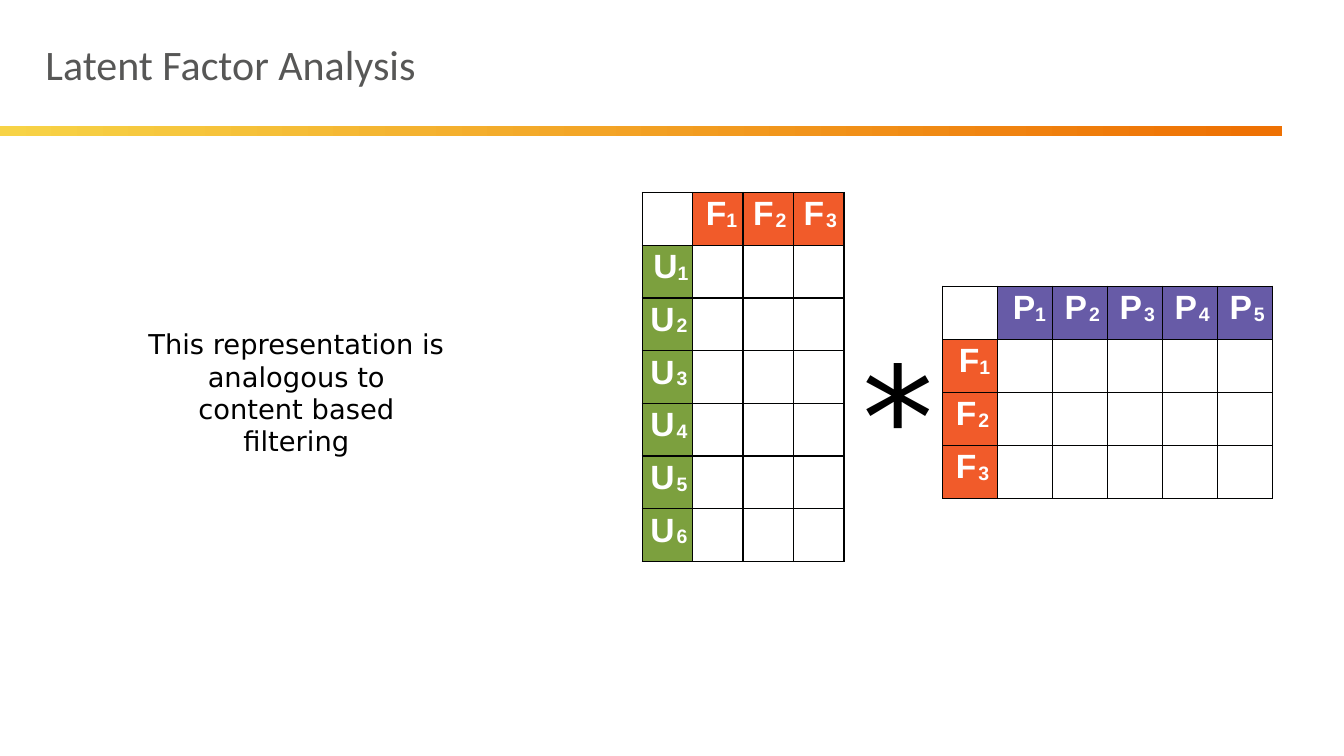
from lxml import etree
from pptx import Presentation
from pptx.dml.color import RGBColor
from pptx.enum.shapes import MSO_SHAPE
from pptx.enum.text import MSO_ANCHOR, MSO_AUTO_SIZE, PP_ALIGN
from pptx.oxml.ns import qn
from pptx.util import Inches, Pt

RECTANGLE = MSO_SHAPE.RECTANGLE
BOTTOM = MSO_ANCHOR.BOTTOM
NO_AUTOFIT = MSO_AUTO_SIZE.NONE
LEFT, CENTER = PP_ALIGN.LEFT, PP_ALIGN.CENTER

BLACK = RGBColor(0x00, 0x00, 0x00)
WHITE = RGBColor(0xFF, 0xFF, 0xFF)
GRAY = RGBColor(0x57, 0x57, 0x56)
GRID = RGBColor(0x00, 0x01, 0x01)
YELLOW = RGBColor(0xF7, 0xD3, 0x46)
ORANGE = RGBColor(0xEE, 0x71, 0x03)
FACTOR = RGBColor(0xF1, 0x5B, 0x2A)
USER = RGBColor(0x7C, 0xA0, 0x3E)
PRODUCT = RGBColor(0x67, 0x5B, 0xA7)


def add_text(paragraph, text, *, font, size, color, bold=False, spacing=0, baseline=0):
    """Append a formatted run to a paragraph."""
    run = paragraph.add_run()
    run.text = text
    run.font.name = font
    run.font.size = Pt(size)
    run.font.color.rgb = color
    run.font.bold = bold
    properties = run.font._element
    if spacing:
        properties.set("spc", str(round(spacing * 100)))
    if baseline:
        properties.set("baseline", str(baseline * 1000))


class FactorSlide:
    """Holds the slide and its style, with a method for each kind of element."""

    title_font, body_font, label_font = "Calibri", "DejaVu Sans", "Arial"

    def __init__(self, presentation):
        """Start a slide with a title."""
        self.slide = presentation.slides.add_slide(presentation.slide_layouts[5])

    def frame(self, shape, top_inset):
        """Prepare a text frame and return its first paragraph."""
        frame = shape.text_frame
        frame.margin_left = frame.margin_right = frame.margin_bottom = 0
        frame.margin_top = Inches(top_inset)
        frame.word_wrap = True
        frame.auto_size = NO_AUTOFIT
        return frame.paragraphs[0]

    def title(self, text, left, top, width, height):
        """Place the title."""
        heading = self.slide.shapes.title
        heading.left, heading.top = Inches(left), Inches(top)
        heading.width, heading.height = Inches(width), Inches(height)
        paragraph = self.frame(heading, 0.01)
        heading.text_frame.vertical_anchor = BOTTOM
        paragraph.alignment = LEFT
        paragraph._p.get_or_add_pPr().set("marL", str(Inches(0.01)))
        add_text(paragraph, text, font=self.title_font, size=30, color=GRAY)

    def gradient_bar(self, left, top, width, height):
        """Draw the rule below the title."""
        bar = self.slide.shapes.add_shape(
            RECTANGLE, Inches(left), Inches(top), Inches(width), Inches(height))
        bar.shadow.inherit = False
        bar.line.fill.background()
        bar.fill.gradient()
        bar.fill.gradient_angle = 0
        for stop, color, position in zip(
                bar.fill.gradient_stops, (YELLOW, ORANGE), (0, 0.98)):
            stop.color.rgb = color
            stop.position = position

    def text_box(self, lines, left, top, width, height, size, align=LEFT, leading=None):
        """Place lines of body text."""
        box = self.slide.shapes.add_textbox(
            Inches(left), Inches(top), Inches(width), Inches(height))
        paragraph = self.frame(box, 0.02)
        paragraph.alignment = align
        paragraph.space_before = Pt(1.6)
        if leading:
            paragraph.line_spacing = Pt(leading)
        for number, line in enumerate(lines):
            if number:
                paragraph.add_line_break()
            add_text(paragraph, line, font=self.body_font, size=size, color=BLACK)

    def border(self, cell):
        """Outline a cell on all sides."""
        properties = cell._tc.get_or_add_tcPr()
        for side in ("a:lnL", "a:lnR", "a:lnT", "a:lnB"):
            line = etree.SubElement(properties, qn(side), w=str(Pt(1)))
            fill = etree.SubElement(line, qn("a:solidFill"))
            etree.SubElement(fill, qn("a:srgbClr"), val=str(GRID))

    def label(self, cell, letter, index, color, indent):
        """Write a matrix heading with its lowered index."""
        first = index == 1
        cell.fill.solid()
        cell.fill.fore_color.rgb = color
        paragraph = cell.text_frame.paragraphs[0]
        paragraph.space_before = Pt(2.8)
        margin = indent + (0.03 if first else 0)
        paragraph._p.get_or_add_pPr().set("marL", str(Inches(margin)))
        style = {"font": self.label_font, "size": 24, "color": WHITE, "bold": True}
        add_text(paragraph, letter, spacing=-0.8 if first else 1.4, **style)
        add_text(paragraph, str(index), spacing=-1.2 if first else 2.1,
                 baseline=-5, **style)

    def matrix(self, left, top, cell_width, cell_height, row_heads, column_heads):
        """Draw an empty matrix; heads are (letter, count, color, indent)."""
        rows, columns = row_heads[1] + 1, column_heads[1] + 1
        table = self.slide.shapes.add_table(
            rows, columns, Inches(left), Inches(top),
            Inches(cell_width * columns), Inches(cell_height * rows)).table
        table.first_row = table.horz_banding = False
        for column in table.columns:
            column.width = Inches(cell_width)
        for row in table.rows:
            row.height = Inches(cell_height)
        for r in range(rows):
            for c in range(columns):
                cell = table.cell(r, c)
                cell.margin_left = cell.margin_right = cell.margin_bottom = 0
                cell.margin_top = Inches(0.03)
                self.border(cell)
                if (r == 0) == (c == 0):
                    cell.fill.background()
                else:
                    letter, _, color, indent = column_heads if r == 0 else row_heads
                    self.label(cell, letter, r + c, color, indent)


def main():
    """Build and save the slide."""
    presentation = Presentation()
    presentation.slide_width, presentation.slide_height = Inches(13.33), Inches(7.5)
    page = FactorSlide(presentation)
    page.gradient_bar(0, 1.25, 12.72, 0.1)
    page.title("Latent Factor Analysis", 0.44, 0.36, 9.09, 0.52)
    page.matrix(6.37, 1.91, 0.5, 0.523, ("U", 6, USER, 0.08), ("F", 3, FACTOR, 0.1))
    page.text_box(["*"], 8.55, 3.22, 0.75, 1.73, 102)
    page.matrix(9.35, 2.84, 0.545, 0.527, ("F", 3, FACTOR, 0.13), ("P", 5, PRODUCT, 0.12))
    page.text_box(
        ["This representation is", "analogous to", "content based", "filtering"],
        1.44, 3.23, 3, 0.99, 19.5, align=CENTER, leading=23.2)
    presentation.save("out.pptx")


if __name__ == "__main__":
    main()
